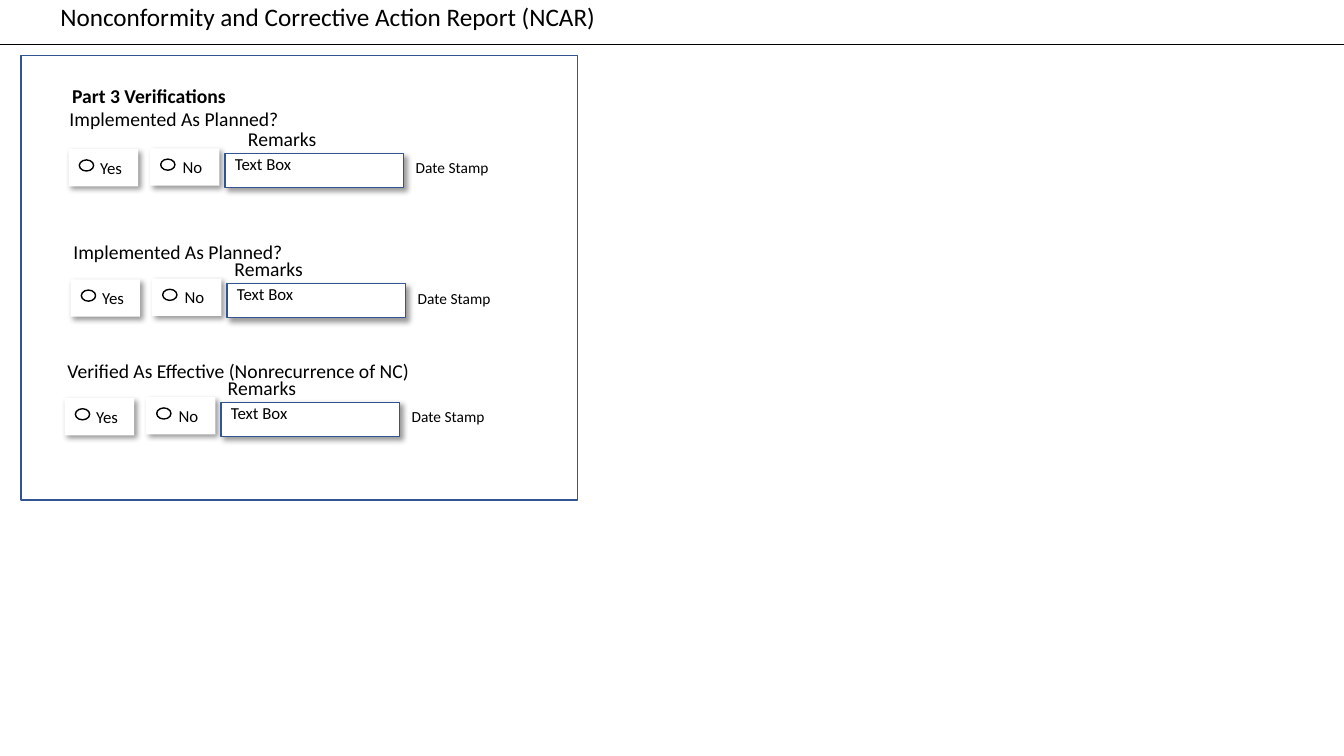
from lxml.etree import SubElement
from pptx import Presentation
from pptx.dml.color import RGBColor
from pptx.enum.shapes import MSO_CONNECTOR, MSO_SHAPE
from pptx.enum.text import MSO_ANCHOR, PP_ALIGN
from pptx.oxml.ns import qn
from pptx.util import Cm, Pt

# Content: heading, heading width, left and top of the Yes option, remarks offset, heading offset
TITLE = "Nonconformity and Corrective Action Report (NCAR)"
SECTION = "Part 3 Verifications"
CHECKS = [
    ("Implemented As Planned?", 6.1, (1.73, 3.76), 4.27, (-0.23, -1.19)),
    ("Implemented As Planned?", 6.1, (1.78, 7.04), 3.88, (-0.18, -1.12)),
    ("Verified As Effective (Nonrecurrence of NC)", 10.24, (1.63, 10.03), 3.86, (-0.18, -1.12)),
]
OPTIONS = [("Yes", 0, 0), ("No", 2.05, -0.02)]

COLORS = {"text": "000000", "paper": "FFFFFF", "border": "325491"}
FONT = "Calibri"
WIDTH, HEIGHT = 33.87, 19.05

deck = Presentation()
deck.slide_width, deck.slide_height = Cm(WIDTH), Cm(HEIGHT)
page = deck.slides.add_slide(deck.slide_layouts[6])


def color(name):
    return RGBColor.from_string(COLORS[name])


def write(shape, text, size, bold=False, align=PP_ALIGN.LEFT, **frame_format):
    frame = shape.text_frame
    frame.word_wrap = True
    for name, value in frame_format.items():
        setattr(frame, name, value)
    para = frame.paragraphs[0]
    para.alignment = align
    span = para.add_run()
    span.text = text
    for name, value in {"name": FONT, "size": Pt(size), "bold": bold}.items():
        setattr(span.font, name, value)
    span.font.color.rgb = color("text")


def add_text(text, left, top, width, height, size, **style):
    box = page.shapes.add_textbox(Cm(left), Cm(top), Cm(width), Cm(height))
    write(box, text, size, **style)


def add_shape(kind, left, top, width, height, fill="paper", line=None):
    shape = page.shapes.add_shape(kind, Cm(left), Cm(top), Cm(width), Cm(height))
    shape.shadow.inherit = False
    if fill:
        shape.fill.solid()
        shape.fill.fore_color.rgb = color(fill)
    else:
        shape.fill.background()
    if line:
        shape.line.color.rgb = color(line)
        shape.line.width = Pt(1)
    else:
        shape.line.fill.background()
    return shape


def add_shadow(shape):
    effects = shape.element.spPr.find(qn("a:effectLst"))
    shadow = SubElement(effects, qn("a:outerShdw"), blurRad=str(Pt(4)), dist=str(Pt(3)),
                        dir="2700000", algn="tl", rotWithShape="0")
    tint = SubElement(shadow, qn("a:srgbClr"), val=COLORS["text"])
    SubElement(tint, qn("a:alpha"), val="40000")


def add_option(label, left, top):
    option = add_shape(MSO_SHAPE.RECTANGLE, left, top, 1.75, 0.94)
    add_shadow(option)
    write(option, label, 12, align=PP_ALIGN.CENTER,
          vertical_anchor=MSO_ANCHOR.MIDDLE, margin_left=Cm(0.64))
    add_shape(MSO_SHAPE.OVAL, left + 0.27, top + 0.27, 0.36, 0.28, line="text")


# Title and rule
add_text(TITLE, 1.27, -0.08, 15.85, 1.02, 18)
rule = page.shapes.add_connector(MSO_CONNECTOR.STRAIGHT, 0, Cm(1.13), Cm(WIDTH), Cm(1.13))
rule.line.color.rgb = color("text")
rule.line.width = Pt(0.5)
SubElement(rule.element.spPr, qn("a:effectLst"))

# Verification checks
add_text(SECTION, 1.57, 2, 10.49, 0.86, 14, bold=True)
for heading, heading_width, (left, top), remarks_shift, (shift_x, shift_y) in CHECKS:
    add_text(heading, left + shift_x, top + shift_y, heading_width, 0.86, 14)
    for label, option_x, option_y in OPTIONS:
        add_option(label, left + option_x, top + option_y)
    add_text("Date Stamp", left + 8.33, top + 0.11, 2.67, 0.74, 11, align=PP_ALIGN.CENTER)
    remarks = add_shape(MSO_SHAPE.RECTANGLE, left + 3.94, top + 0.11, 4.5, 0.86, line="border")
    add_shadow(remarks)
    write(remarks, "Text Box", 12, vertical_anchor=MSO_ANCHOR.TOP, margin_top=0)
    add_text("Remarks", left + remarks_shift, top - 0.69, 4.09, 0.86, 14)

# Frame around the section
add_shape(MSO_SHAPE.RECTANGLE, 0.53, 1.4, 14.02, 11.2, fill=None, line="border")

deck.save("out.pptx")
